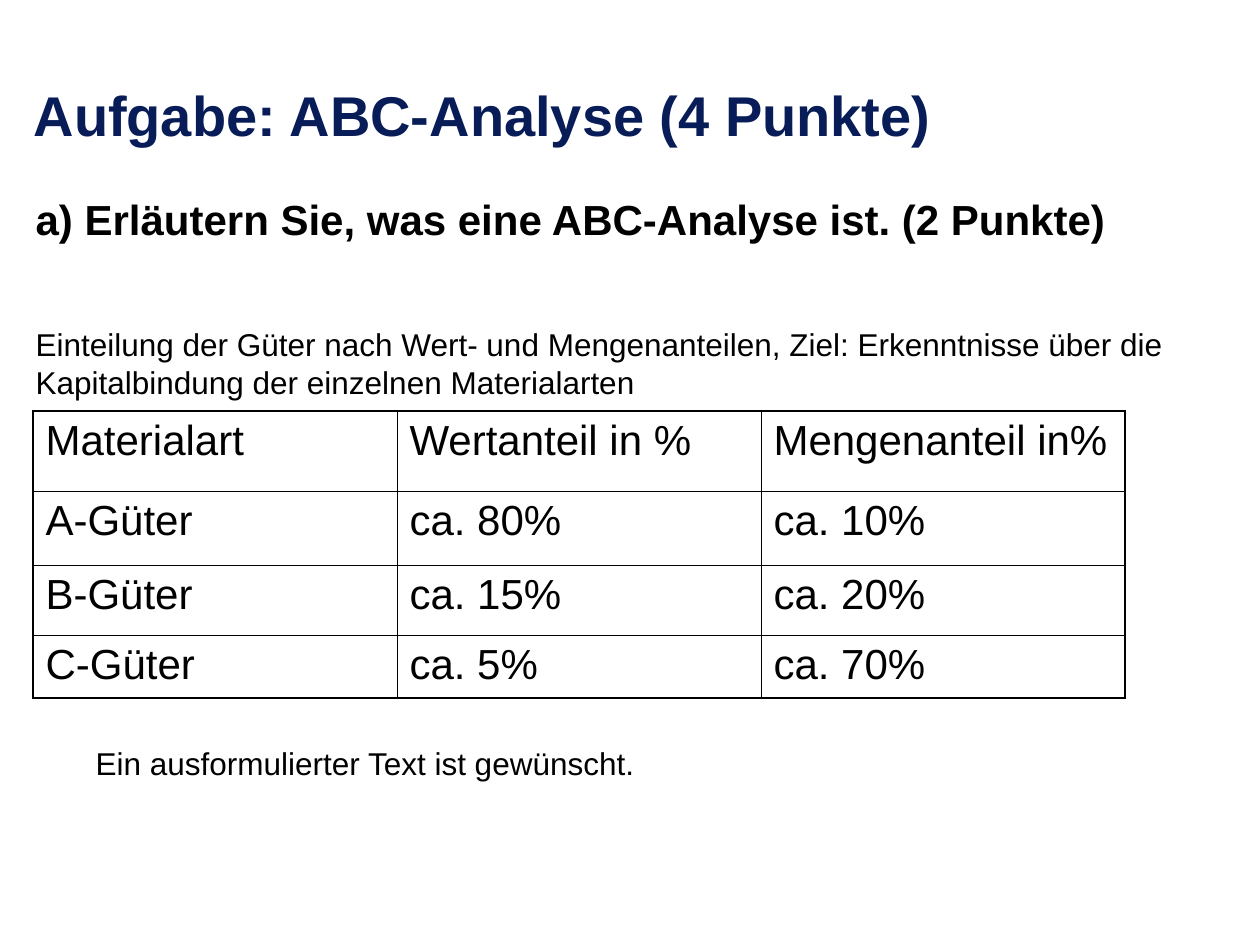
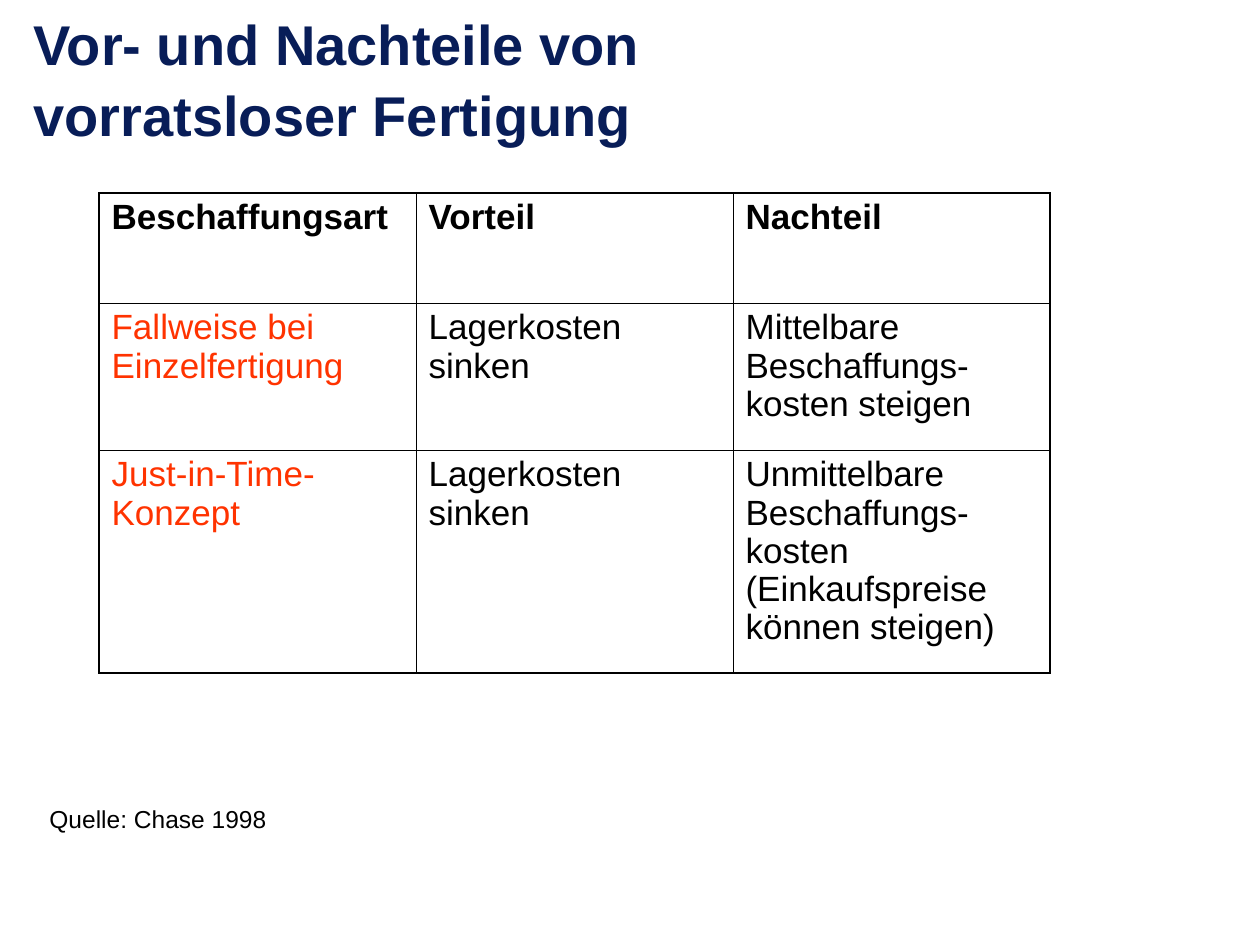
from pptx import Presentation
from pptx.dml.color import RGBColor
from pptx.enum.text import MSO_ANCHOR, MSO_AUTO_SIZE, PP_ALIGN
from pptx.oxml.ns import qn
from pptx.util import Emu, Pt
from lxml import etree

LEFT = PP_ALIGN.LEFT
TOP, BOTTOM = MSO_ANCHOR.TOP, MSO_ANCHOR.BOTTOM
NO_FIT = MSO_AUTO_SIZE.NONE

FONT = "Arial"
NAVY, BLACK, RED = "081D58", "000000", "FF3300"
OUTER, INNER = 1.08, 0.45
SCALE = 914400 // 126
TITLE_BOX = (21, 15, 1212, 139)

ABC = {
    "title": "Aufgabe: ABC-Analyse (4 Punkte)",
    "body_box": (23, 181, 1210, 649),
    "body": [
        ("a) Erläutern Sie, was eine ABC-Analyse ist. (2 Punkte)", dict(size=24, bold=True)),
        ("Einteilung der Güter nach Wert- und Mengenanteilen, Ziel: Erkenntnisse über die "
         "Kapitalbindung der einzelnen Materialarten", dict(size=18, before=46, spacing=1.02)),
        ("Ein ausformulierter Text ist gewünscht.", dict(size=18, before=196, indent=60)),
    ],
    "table": dict(
        left=33, top=411, col_width=364, row_heights=[80, 74, 70, 63], size=24,
        rows=[
            ("Materialart", "Wertanteil in %", "Mengenanteil in%"),
            ("A-Güter", "ca. 80%", "ca. 10%"),
            ("B-Güter", "ca. 15%", "ca. 20%"),
            ("C-Güter", "ca. 5%", "ca. 70%"),
        ]),
}

STOCKLESS = {
    "title": "Vor- und Nachteile von \nvorratsloser Fertigung",
    "source_box": (37, 798, 1106, 42),
    "source": "Quelle: Chase 1998",
    "table": dict(
        left=99, top=193, col_width=317, row_heights=[110, 147, 223], size=20,
        bold_header=True, label_color=RED, spacing=0.98,
        rows=[
            ("Beschaffungsart", "Vorteil", "Nachteil"),
            ("Fallweise bei Einzelfertigung", "Lagerkosten sinken",
             "Mittelbare Beschaffungs-\nkosten steigen"),
            ("Just-in-Time-Konzept", "Lagerkosten sinken",
             "Unmittelbare\nBeschaffungs-kosten (Einkaufspreise\nkönnen steigen)"),
        ]),
}


def px(n):
    return Emu(n * SCALE)


def rgb(color):
    return RGBColor.from_string(color)


def place(shape, box):
    shape.left, shape.top, shape.width, shape.height = map(px, box)


def write(p, text, size, color=BLACK, bold=False, before=0, spacing=1.0, indent=0):
    p.text = text
    p.alignment = LEFT
    p.space_before = Pt(before)
    p.line_spacing = spacing
    pPr = p._p.get_or_add_pPr()
    pPr.set("marL", str(px(indent)))
    pPr.set("indent", "0")
    etree.SubElement(pPr, qn("a:buNone"))
    for r in p.runs:
        r.font.name = FONT
        r.font.size = Pt(size)
        r.font.bold = bold
        r.font.color.rgb = rgb(color)


def add_slide(prs, layout, title):
    s = prs.slides.add_slide(prs.slide_layouts[layout])
    place(s.shapes.title, TITLE_BOX)
    tf = s.shapes.title.text_frame
    tf.auto_size = NO_FIT
    tf.vertical_anchor = BOTTOM
    write(tf.paragraphs[0], title, 32, color=NAVY, bold=True, spacing=1.05)
    return s


def fill_body(s, box, items):
    body = s.placeholders[1]
    place(body, box)
    tf = body.text_frame
    tf.auto_size = NO_FIT
    tf.vertical_anchor = TOP
    tf.margin_top = px(12)
    for i, (text, style) in enumerate(items):
        p = tf.add_paragraph() if i else tf.paragraphs[0]
        write(p, text, **style)


def set_borders(cell, widths):
    tcPr = cell._tc.get_or_add_tcPr()
    for i, (side, width) in enumerate(widths.items()):
        ln = etree.Element(qn(f"a:ln{side}"), w=str(Pt(width)))
        fill = etree.SubElement(ln, qn("a:solidFill"))
        etree.SubElement(fill, qn("a:srgbClr"), val=BLACK)
        tcPr.insert(i, ln)


def add_grid(s, left, top, col_width, row_heights, size, rows,
             bold_header=False, label_color=BLACK, spacing=1.0):
    n_rows, n_cols = len(rows), len(rows[0])
    frame = s.shapes.add_table(n_rows, n_cols, px(left), px(top),
                               px(col_width * n_cols), px(sum(row_heights)))
    table = frame.table
    table.first_row = table.horz_banding = False
    for column in table.columns:
        column.width = px(col_width)
    for i, (height, texts) in enumerate(zip(row_heights, rows)):
        table.rows[i].height = px(height)
        for j, text in enumerate(texts):
            cell = table.cell(i, j)
            cell.fill.background()
            color = label_color if i and not j else BLACK
            write(cell.text_frame.paragraphs[0], text, size, color=color,
                  bold=bold_header and i == 0, spacing=spacing)
            edges = {"L": j == 0, "R": j == n_cols - 1, "T": i == 0, "B": i == n_rows - 1}
            set_borders(cell, {side: OUTER if edge else INNER for side, edge in edges.items()})


def main():
    prs = Presentation()
    prs.slide_width, prs.slide_height = px(1260), px(945)

    s = add_slide(prs, 1, ABC["title"])
    fill_body(s, ABC["body_box"], ABC["body"])
    add_grid(s, **ABC["table"])

    s = add_slide(prs, 5, STOCKLESS["title"])
    tf = s.shapes.add_textbox(*map(px, STOCKLESS["source_box"])).text_frame
    tf.word_wrap = True
    write(tf.paragraphs[0], STOCKLESS["source"], 14)
    add_grid(s, **STOCKLESS["table"])

    prs.save("out.pptx")


if __name__ == "__main__":
    main()
